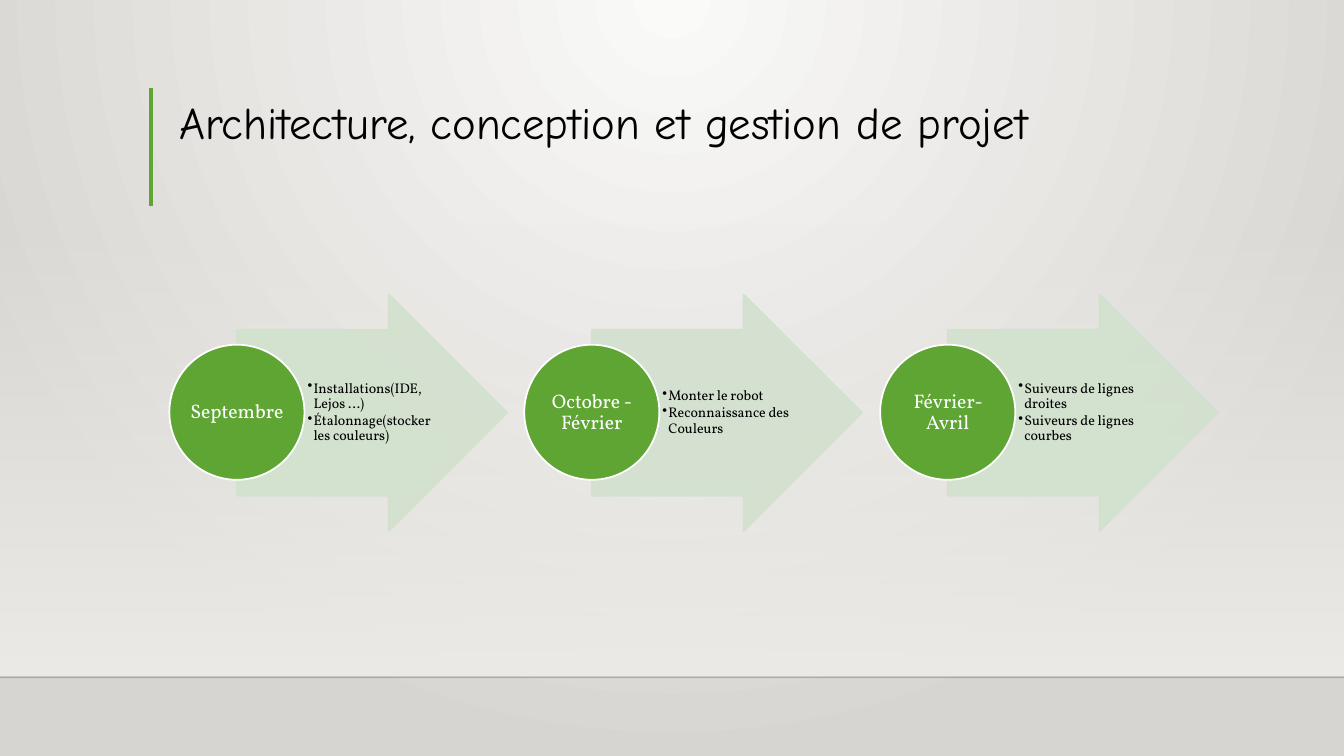
"""Build the project planning slide with three arrow steps."""
from lxml import etree
from pptx import Presentation
from pptx.dml.color import RGBColor
from pptx.enum.shapes import MSO_CONNECTOR, MSO_SHAPE
from pptx.enum.text import MSO_ANCHOR, MSO_AUTO_SIZE, PP_ALIGN
from pptx.oxml.ns import qn
from pptx.util import Emu, Pt

STRAIGHT = MSO_CONNECTOR.STRAIGHT
RECTANGLE, ARROW, CIRCLE = MSO_SHAPE.RECTANGLE, MSO_SHAPE.RIGHT_ARROW, MSO_SHAPE.OVAL
TOP, MIDDLE = MSO_ANCHOR.TOP, MSO_ANCHOR.MIDDLE
LEFT, CENTER = PP_ALIGN.LEFT, PP_ALIGN.CENTER
NO_FIT = MSO_AUTO_SIZE.NONE

PX = 9144
WIDTH, HEIGHT = 1333, 750
STEP_LEFT, STEP_PITCH_X2 = 168, 705
COLORS = {
    "glow": "FAFAF9", "edge": "D7D5D2", "floor": "EDEBE7", "horizon": "000001",
    "green": "5FA534", "pale": "D2E1CE", "white": "FFFFFF", "black": "000000",
}
TITLE = "Architecture, conception et gestion de projet"
STEPS = [
    ("Septembre", ["Installations(IDE, Lejos …)", "Étalonnage(stocker les couleurs)"]),
    ("Octobre - Février", ["Monter le robot", "Reconnaissance des Couleurs"]),
    ("Février-Avril", ["Suiveurs de lignes droites", "Suiveurs de lignes courbes"]),
]
TITLE_FORMAT = {"name": "Comic Neue", "size": Pt(32), "color": "black"}
MONTH_FORMAT = {"name": "Vollkorn", "size": Pt(14), "color": "white"}
TASK_FORMAT = {"name": "Vollkorn", "size": Pt(10), "color": "black"}


def px(*lengths):
    return [Emu(length * PX) for length in lengths]


def rgb(name):
    return RGBColor.from_string(COLORS[name])


def set_alpha(color, percent):
    etree.SubElement(color, qn("a:alpha"), val=str(percent * 1000))


def fade(shape, percent):
    for color in shape._element.spPr.iter(qn("a:srgbClr")):
        set_alpha(color, percent)


def paint_gradient(fill, names):
    fill.gradient()
    for stop, name in zip(fill.gradient_stops, names):
        stop.color.rgb = rgb(name)


def paint_background(slide):
    paint_gradient(slide.background.fill, ("glow", "edge"))
    linear = next(slide._element.iter(qn("a:lin")))
    radial = etree.Element(qn("a:path"), path="circle")
    etree.SubElement(radial, qn("a:fillToRect"), l="43000", t="0", r="43000", b="100000")
    linear.getparent().replace(linear, radial)


def add_floor(slide):
    floor = slide.shapes.add_shape(RECTANGLE, *px(0, 220, WIDTH, 450))
    floor.shadow.inherit = False
    floor.line.fill.background()
    paint_gradient(floor.fill, ("floor", "floor"))
    floor.fill.gradient_angle = 270
    set_alpha(next(floor._element.spPr.iter(qn("a:srgbClr"))), 0)


def add_rule(slide, ends, color, weight):
    rule = slide.shapes.add_connector(STRAIGHT, *px(*ends))
    rule.line.color.rgb = rgb(color)
    rule.line.width = Pt(weight)
    etree.SubElement(rule._element.spPr, qn("a:effectLst"))
    return rule


def add_outlined(slide, preset, place, fill, line):
    outlined = slide.shapes.add_shape(preset, *px(*place))
    outlined.shadow.inherit = False
    outlined.fill.solid()
    outlined.fill.fore_color.rgb = rgb(fill)
    outlined.line.color.rgb = rgb(line)
    outlined.line.width = Pt(1.25)
    return outlined


def set_frame(frame, anchor, insets):
    sides = ("margin_left", "margin_top", "margin_right", "margin_bottom")
    settings = dict(zip(sides, px(*insets)))
    settings.update(word_wrap=True, auto_size=NO_FIT, vertical_anchor=anchor)
    for attribute, value in settings.items():
        setattr(frame, attribute, value)


def write(paragraph, text, look, alignment):
    paragraph.alignment = alignment
    paragraph.line_spacing = 0.9
    run = paragraph.add_run()
    run.text = text
    for attribute, value in look.items():
        if attribute == "color":
            run.font.color.rgb = rgb(value)
        else:
            setattr(run.font, attribute, value)


def add_title(slide):
    title = slide.shapes.title
    title.left, title.top, title.width, title.height = px(168, 88, 1041, 115)
    set_frame(title.text_frame, TOP, (10, 12, 10, 5))
    write(title.text_frame.paragraphs[0], TITLE, TITLE_FORMAT, LEFT)


def add_tasks(slide, left, tasks):
    frame = slide.shapes.add_textbox(*px(left, 327, 131, 164)).text_frame
    set_frame(frame, MIDDLE, (3, 1, 1, 1))
    for index, task in enumerate(tasks):
        paragraph = frame.add_paragraph() if index else frame.paragraphs[0]
        paragraph.level = 1
        properties = paragraph._p.get_or_add_pPr()
        properties.set("marL", str(6 * PX))
        properties.set("indent", str(-6 * PX))
        etree.SubElement(properties, qn("a:buChar"), char="•")
        paragraph.space_after = Pt(1.5)
        write(paragraph, task, TASK_FORMAT, LEFT)


def add_step(slide, left, month, tasks):
    arrow = add_outlined(slide, ARROW, (left + 67, 292, 268, 235), "pale", "pale")
    arrow.adjustments[0], arrow.adjustments[1] = 0.7, 0.5
    fade(arrow, 90)
    add_tasks(slide, left + 134, tasks)
    circle = add_outlined(slide, CIRCLE, (left, 342, 134, 134), "green", "white")
    set_frame(circle.text_frame, MIDDLE, (1, 1, 1, 1))
    write(circle.text_frame.paragraphs[0], month, MONTH_FORMAT, CENTER)


def main():
    deck = Presentation()
    deck.slide_width, deck.slide_height = px(WIDTH, HEIGHT)
    slide = deck.slides.add_slide(deck.slide_layouts[5])
    paint_background(slide)
    add_floor(slide)
    fade(add_rule(slide, (0, 672, WIDTH, 672), "horizon", 1), 20)
    add_rule(slide, (150, 87, 150, 204), "green", 3)
    add_title(slide)
    for index, (month, tasks) in enumerate(STEPS):
        add_step(slide, STEP_LEFT + index * STEP_PITCH_X2 // 2, month, tasks)
    deck.save("out.pptx")


if __name__ == "__main__":
    main()
